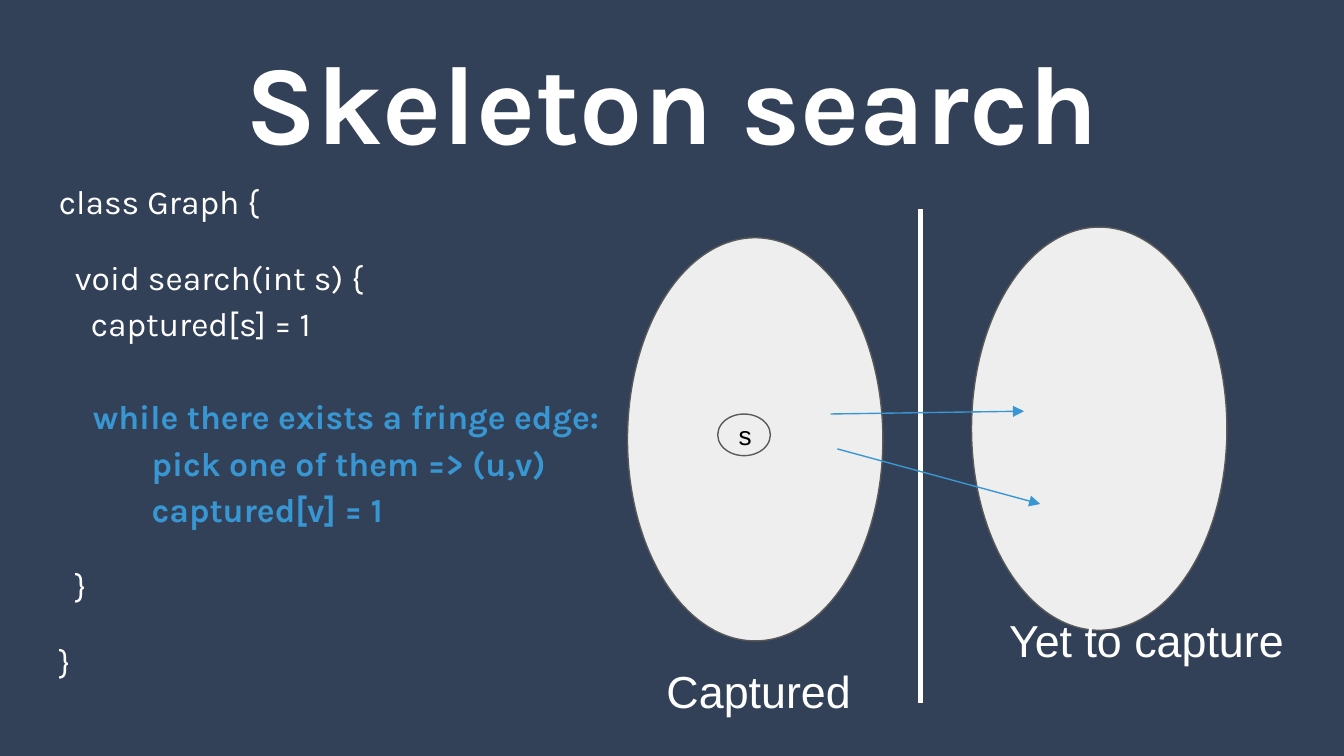
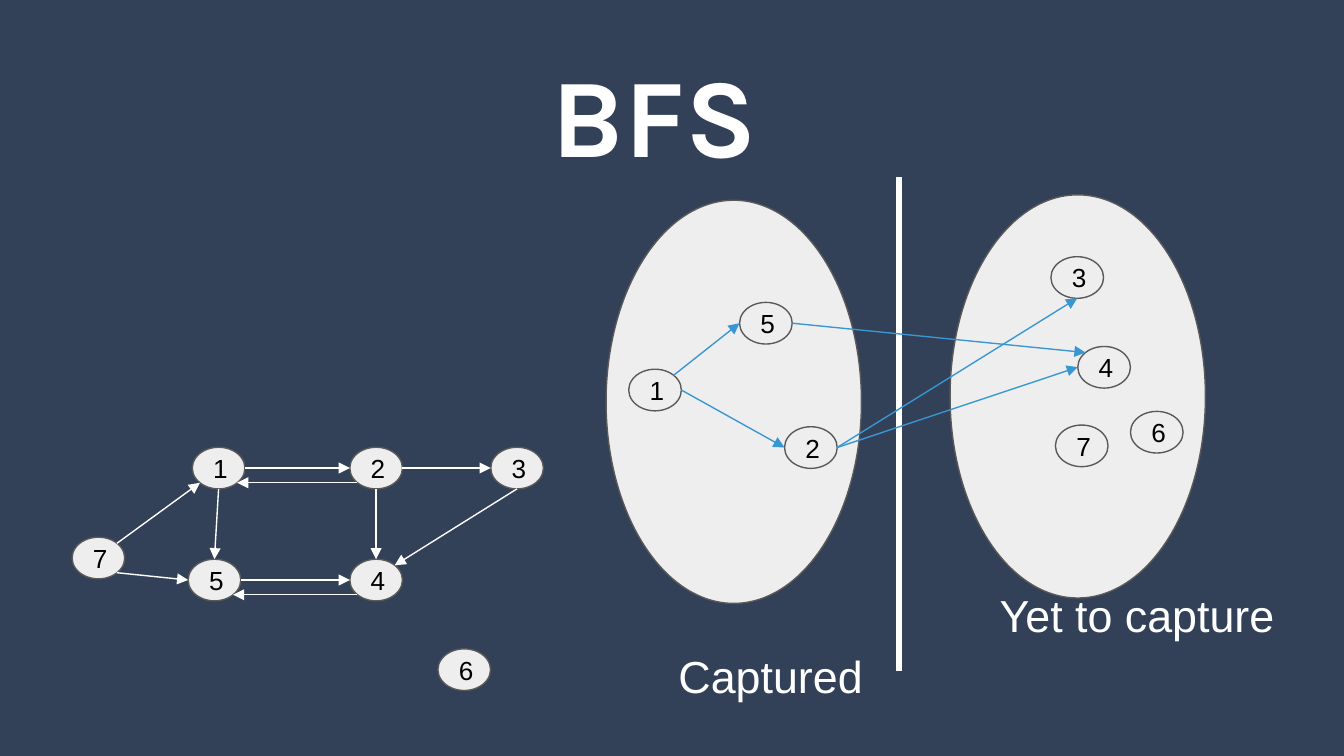
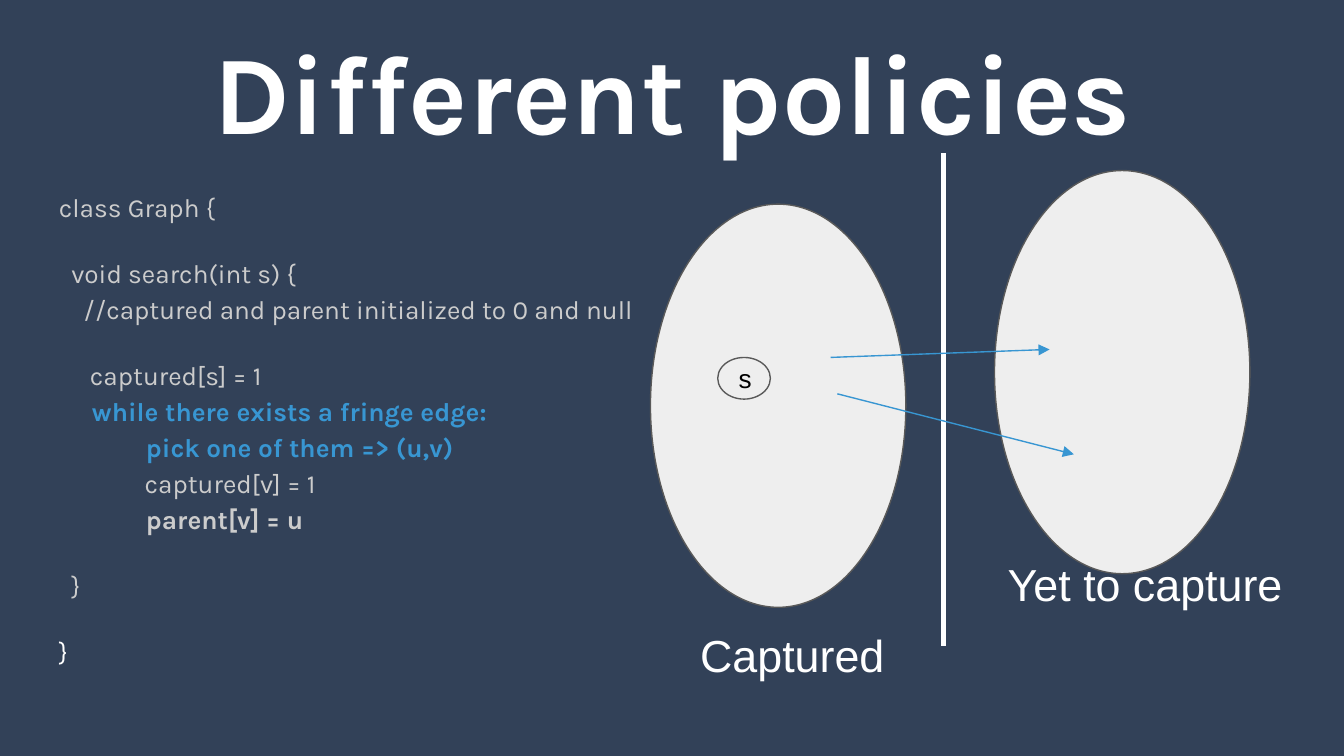
import math

import lxml.etree
import pptx
import pptx.dml.color
import pptx.enum.shapes
import pptx.enum.text
import pptx.oxml.ns
import pptx.util

Pt = pptx.util.Pt
RGB = pptx.dml.color.RGBColor
SHAPE = pptx.enum.shapes.MSO_SHAPE
ALIGN = pptx.enum.text.PP_ALIGN
ANCHOR = pptx.enum.text.MSO_ANCHOR

NAVY = RGB(0x32, 0x41, 0x58)
WHITE = RGB(0xFF, 0xFF, 0xFF)
BLUE = RGB(0x38, 0x96, 0xD2)
PALE = RGB(0xEE, 0xEE, 0xEE)
SMOKE = RGB(0xCC, 0xCC, 0xCC)
GREY = RGB(0x59, 0x59, 0x59)
BLACK = RGB(0, 0, 0)

HEAD, BODY = "Karla", "Arial"
PAD = 7.2
NODE = (28.2, 22.3)
POOL = (136.8, 216)
STEP = 184.3        # from the left pool to the right one
WALL = 157          # from the left pool to the wall
RISE, TALL = 9.5, 264.4
GAP = 16            # space between blocks of code

# Each line of code: text, colour, bold, space before
SKETCH = [
    ("class Graph {", WHITE, False, 0),
    ("  void search(int s) {", WHITE, False, GAP),
    ("    captured[s] = 1", WHITE, False, 0),
    ("    while there exists a fringe edge:", BLUE, True, 25),
    ("\t   pick one of them => (u,v)", BLUE, True, 0),
    ("\t   captured[v] = 1", BLUE, True, 0),
    ("  }", WHITE, False, GAP),
    ("}", WHITE, False, GAP),
]
POLICY = [
    ("class Graph {", SMOKE, False, 0),
    ("  void search(int s) {", SMOKE, False, GAP),
    ("    //captured and parent initialized to 0 and null", SMOKE, False, 0),
    ("     captured[s] = 1", SMOKE, False, GAP),
    ("     while there exists a fringe edge:", BLUE, True, 0),
    ("\t   pick one of them => (u,v)", BLUE, True, 0),
    ("\t   captured[v] = 1", SMOKE, False, 0),
    ("\t   parent[v] = u", SMOKE, True, 0),
    ("  }", SMOKE, False, GAP),
    ("}", WHITE, False, GAP),
]

# Graphs: node places, then edges as (node, side, node, side)
GRAPH = {
    "1": (103, 239.6), "2": (187.4, 239.6), "3": (262.9, 239.6),
    "7": (38.6, 287.8), "5": (100.8, 299.6), "4": (187.4, 299.6),
    "6": (234.6, 347.6),
}
EDGES = [
    ("1", "E", "2", "W"), ("2", "SW", "1", "SE"), ("2", "E", "3", "W"),
    ("2", "S", "4", "N"), ("3", "S", "4", "NE"), ("5", "E", "4", "W"),
    ("4", "SW", "5", "SE"), ("7", "NE", "1", "SW"), ("7", "SE", "5", "W"),
    ("1", "S", "5", "N"),
]
SPLIT = {
    "1": (336.8, 197.8), "3": (563, 137.5), "4": (577.4, 185.6),
    "2": (420.3, 228.6), "7": (565.4, 227.7), "6": (605.6, 220.4),
    "5": (396.2, 162),
}
FRINGE = [
    ("1", "E", "2", "W"), ("1", "NE", "5", "W"), ("2", "E", "3", "S"),
    ("2", "E", "4", "W"), ("5", "E", "4", "NW"),
]
SIDES = ["E", "SE", "S", "SW", "W", "NW", "N", "NE"]

# pools: left edge, top of left pool, top of right pool
PAGES = [
    {
        "title": "Skeleton search", "head": (24.5, 0, 671, 107.3),
        "code": (SKETCH, 18, (24.5, 86.4, 671, 269.3)),
        "pools": (336.2, 127.4, 121.7),
        "tags": [(350, 348.5), (533.5, 321.1)],
        "nets": [({"s": (384.5, 221.8)}, [], BLUE)],
        "rays": [(445, 221.8, 548.6, 220.3), (448.6, 240.5, 557.3, 270)],
    },
    {
        "title": "BFS", "head": (15.1, -16.6, 671, 154),
        "pools": (324.7, 107.3, 104.4),
        "tags": [(356.4, 340.6), (528.5, 307.4)],
        "nets": [(GRAPH, EDGES, WHITE), (SPLIT, FRINGE, BLUE)],
        "rays": [],
    },
    {
        "title": "Different policies", "head": (24.5, -28.8, 671, 154),
        "code": (POLICY, 14, (24.5, 92.9, 335.5, 269.3)),
        "pools": (348.5, 109.4, 91.4),
        "tags": [(368, 329), (532.8, 290.9)],
        "nets": [({"s": (384.5, 191.5)}, [], BLUE)],
        "rays": [(445, 191.5, 562.3, 187.2), (448.6, 211, 575.3, 243.4)],
    },
]
TAGS = [("Captured", (117.4, 36)), ("Yet to capture", (182.2, 22.3))]


def pts(nums):
    return [Pt(n) for n in nums]


def frame(shape, anchor):
    """Set the padding of a shape's text and return its text frame."""
    text = shape.text_frame
    text.word_wrap = True
    text.vertical_anchor = anchor
    text.margin_left = text.margin_right = Pt(PAD)
    text.margin_top = text.margin_bottom = Pt(PAD)
    return text


def write(para, words, font, size, color, bold=False):
    run = para.add_run()
    run.text = words
    run.font.name = font
    run.font.size = Pt(size)
    run.font.color.rgb = color
    run.font.bold = bold


def label(slide, box, words, font, size, anchor=ANCHOR.TOP, align=ALIGN.LEFT):
    shape = slide.shapes.add_textbox(*pts(box))
    para = frame(shape, anchor).paragraphs[0]
    para.alignment = align
    write(para, words, font, size, WHITE, font == HEAD)


def code(slide, lines, size, box):
    text = frame(slide.shapes.add_textbox(*pts(box)), ANCHOR.TOP)
    for i, (words, color, bold, space) in enumerate(lines):
        para = text.add_paragraph() if i else text.paragraphs[0]
        para.line_spacing = 1.15
        para.space_before = Pt(space)
        write(para, words, HEAD, size, color, bold)


def oval(slide, kind, place, size):
    shape = slide.shapes.add_shape(kind, *pts(place + size))
    shape.shadow.inherit = False
    shape.fill.solid()
    shape.fill.fore_color.rgb = PALE
    shape.line.color.rgb = GREY
    shape.line.width = Pt(0.75)
    return shape


def rule(slide, ends, color, width=0.75, arrow=True):
    kind = pptx.enum.shapes.MSO_CONNECTOR.STRAIGHT
    line = slide.shapes.add_connector(kind, *pts(ends))
    line.line.color.rgb = color
    line.line.width = Pt(width)
    qn = pptx.oxml.ns.qn
    props = line._element.spPr
    if arrow:
        tip = lxml.etree.SubElement(props.find(qn("a:ln")), qn("a:tailEnd"))
        tip.set("type", "triangle")
    lxml.etree.SubElement(props, qn("a:effectLst"))


def port(place, side):
    """Return the point where an edge meets a node on the given side."""
    turn = SIDES.index(side) * math.pi / 4
    return tuple(p + s / 2 * (1 + f(turn))
                 for p, s, f in zip(place, NODE, (math.cos, math.sin)))


def net(slide, nodes, edges, color):
    for name, place in nodes.items():
        shape = oval(slide, SHAPE.OVAL, place, NODE)
        para = frame(shape, ANCHOR.MIDDLE).paragraphs[0]
        para.alignment = ALIGN.LEFT
        write(para, name, BODY, 14, BLACK)
    for a, out, b, into in edges:
        rule(slide, port(nodes[a], out) + port(nodes[b], into), color)


def pools(slide, left, low, high):
    """Draw the two pools and the wall between them."""
    for place in ((left, low), (left + STEP, high)):
        oval(slide, SHAPE.FLOWCHART_CONNECTOR, place, POOL)
    x, top = left + WALL, high - RISE
    rule(slide, (x, top, x, top + TALL), WHITE, 3, False)


def build(deck, page):
    slide = deck.slides.add_slide(deck.slide_layouts[6])
    slide.background.fill.solid()
    slide.background.fill.fore_color.rgb = NAVY
    if "code" in page:
        code(slide, *page["code"])
    label(slide, page["head"], page["title"], HEAD, 60,
          ANCHOR.MIDDLE, ALIGN.CENTER)
    pools(slide, *page["pools"])
    for (words, size), place in zip(TAGS, page["tags"]):
        label(slide, place + size, words, BODY, 24)
    for ends in page["rays"]:
        rule(slide, ends, BLUE)
    for group in page["nets"]:
        net(slide, *group)


def main():
    deck = pptx.Presentation()
    deck.slide_width, deck.slide_height = Pt(720), Pt(405)
    for page in PAGES:
        build(deck, page)
    deck.save("out.pptx")


if __name__ == "__main__":
    main()
